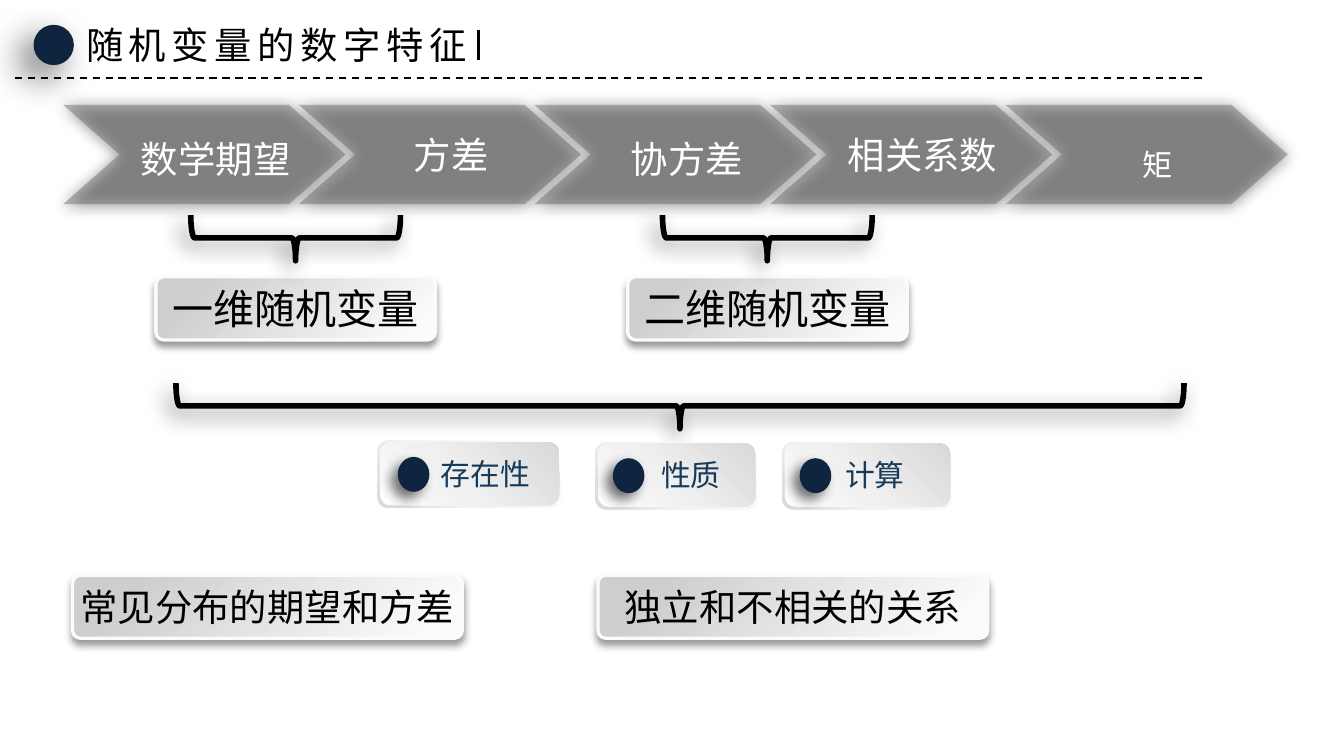
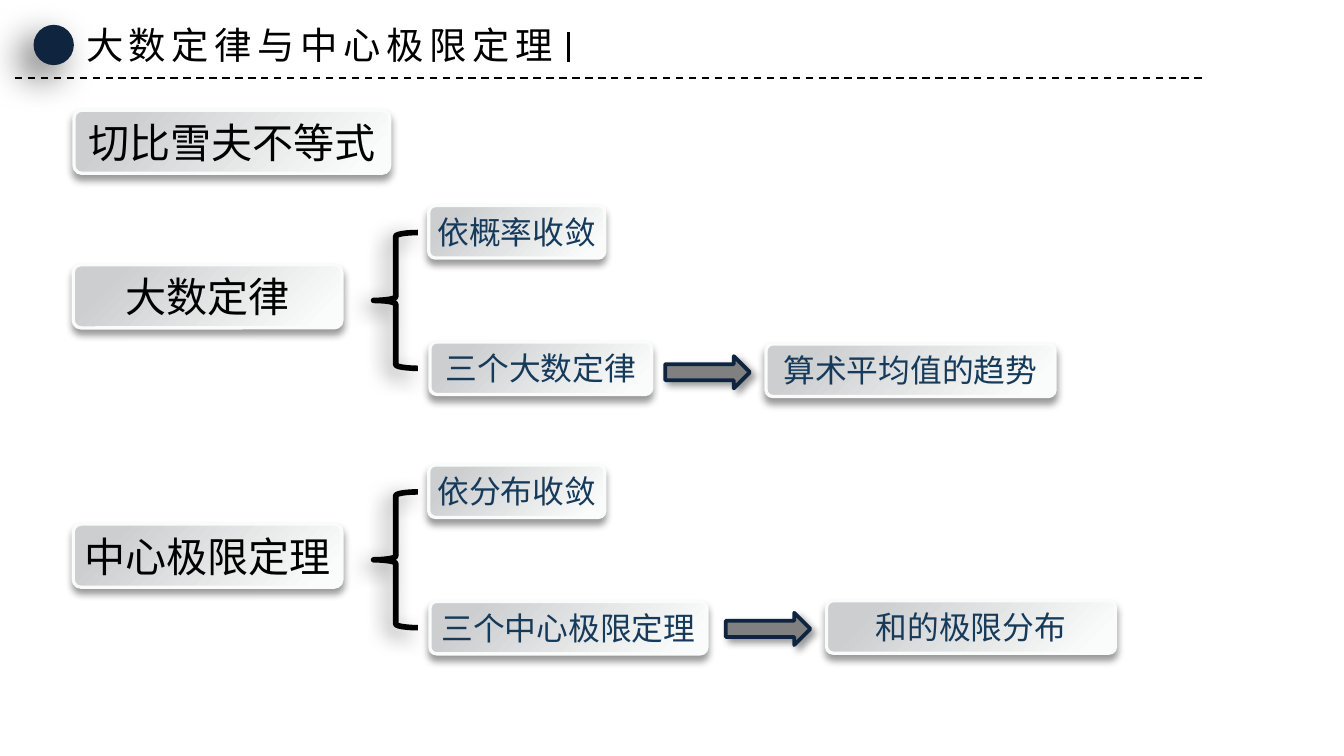
import lxml.etree
import pptx
import pptx.dml.color
import pptx.enum.dml
import pptx.enum.shapes
import pptx.enum.text
import pptx.oxml.ns
import pptx.util

qn = pptx.oxml.ns.qn
Shape = pptx.enum.shapes.MSO_SHAPE
Align = pptx.enum.text.PP_ALIGN
Anchor = pptx.enum.text.MSO_ANCHOR

COLUMNS = 100
WIDTH = pptx.util.Inches(10)
HEIGHT = WIDTH * 9 // 16
CELL = WIDTH / COLUMNS
POINT = pptx.util.Pt(1) / CELL

NAVY, INK, BLUE, WHITE = "0F243E", "000000", "163A5A", "FFFFFF"
CJK_FONT = "Noto Sans CJK SC"
CARD_STOPS = [(15, "CDCED0"), (92, "FAFCFB")]
PILL_RIM = [(0, WHITE), (62, "F2F2F2"), (100, "D9D9D9")]
PILL_FACE = [(0, WHITE), (42, "F0F0F0"), (100, "D9D9D9")]


def rgb(value):
    return pptx.dml.color.RGBColor.from_string(value)


def grid(*cells):
    return [round(cell * CELL) for cell in cells]


def add_color(parent, value, alpha=100):
    color = lxml.etree.SubElement(parent, qn("a:srgbClr"), val=value)
    if alpha < 100:
        lxml.etree.SubElement(color, qn("a:alpha"), val=str(alpha * 1000))


def write(frame, text, *, size, color=INK, font=CJK_FONT, align=Align.LEFT,
          tracking=0, leading=None, baseline=0, anchor=Anchor.TOP, wrap=False,
          inset=(1, 0.5)):
    frame.word_wrap = wrap
    frame.auto_size = pptx.enum.text.MSO_AUTO_SIZE.SHAPE_TO_FIT_TEXT
    frame.vertical_anchor = anchor
    frame.margin_left = frame.margin_right = grid(inset[0])[0]
    frame.margin_top = frame.margin_bottom = grid(inset[1])[0]
    para = frame.paragraphs[0]
    para.alignment = align
    if leading:
        para.line_spacing = leading
    span = para.add_run()
    span.text = text
    span.font.size = pptx.util.Pt(size)
    span.font.color.rgb = rgb(color)
    span.font.name = font
    properties = span._r.get_or_add_rPr()
    lxml.etree.SubElement(properties, qn("a:ea"), typeface=CJK_FONT)
    properties.set("lang", "zh-CN")
    if tracking:
        properties.set("spc", str(tracking * 100))
    if baseline:
        properties.set("baseline", str(baseline * 1000))


class Sketch:
    def __init__(self, deck):
        self.deck = deck
        self.page = None

    def start(self, title, cursor, cursor_top):
        self.page = self.deck.slides.add_slide(self.deck.slide_layouts[5])
        box = self.page.shapes.title
        width = len(title) * 23 * POINT + 2.4
        box.left, box.top, box.width, box.height = grid(5.4, 1.15, width, 4.4)
        write(box.text_frame, title, size=20, tracking=3)
        self.line(1.1, 5.8, 89.8, 5.8, 1, dashed=True)
        self.dot(2.5, 1.85, 3, 3, (60, 20, 10, 135))
        self.line(cursor, cursor_top, cursor, cursor_top + 2.25, 1.5)

    def style(self, shape, fill=None, line=None, weight=1, shadow=None):
        if fill:
            shape.fill.solid()
            shape.fill.fore_color.rgb = rgb(fill)
        if line:
            shape.line.color.rgb = rgb(line)
            shape.line.width = pptx.util.Pt(weight)
        else:
            shape.line.fill.background()
        shape.shadow.inherit = False
        if shadow:
            alpha, blur, distance, angle = shadow
            effects = shape._element.spPr.find(qn("a:effectLst"))
            outer = lxml.etree.SubElement(
                effects, qn("a:outerShdw"), blurRad=str(int(blur * 12700)),
                dist=str(distance * 12700), dir=str(angle * 60000),
                algn="ctr", rotWithShape="0")
            add_color(outer, INK, alpha)

    def shape(self, kind, left, top, width, height, **look):
        shape = self.page.shapes.add_shape(kind, *grid(left, top, width, height))
        self.style(shape, **look)
        return shape

    def gradient(self, shape, stops, angle):
        shape.fill.gradient()
        fill = shape._element.spPr.find(qn("a:gradFill"))
        holder = fill.find(qn("a:gsLst"))
        for stop in list(holder):
            holder.remove(stop)
        for position, value in stops:
            add_color(lxml.etree.SubElement(
                holder, qn("a:gs"), pos=str(position * 1000)), value)
        fill.find(qn("a:lin")).set("ang", str(angle * 60000))

    def line(self, x1, y1, x2, y2, weight, dashed=False):
        line = self.page.shapes.add_connector(
            pptx.enum.shapes.MSO_CONNECTOR.STRAIGHT, *grid(x1, y1, x2, y2))
        line.line.color.rgb = rgb(INK)
        line.line.width = pptx.util.Pt(weight)
        if dashed:
            line.line.dash_style = pptx.enum.dml.MSO_LINE.DASH
        lxml.etree.SubElement(line._element.spPr, qn("a:effectLst"))

    def text(self, text, left, top, width, height, **look):
        box = self.page.shapes.add_textbox(*grid(left, top, width, height))
        write(box.text_frame, text, **look)

    def dot(self, left, top, width, height, shadow):
        self.shape(Shape.OVAL, left, top, width, height, fill=NAVY, shadow=shadow)

    def card(self, text, left, top, width, height=4.7, size=22, color=INK):
        card = self.shape(Shape.ROUNDED_RECTANGLE, left, top, width, height,
                          line="FAFCFB", weight=1.75, shadow=(40, 4, 3, 90))
        card.adjustments[0] = 0.125
        self.gradient(card, CARD_STOPS, 45)
        label_width = len(text) * size * POINT + 1.6
        label_height = size * 1.2 * POINT + 0.8
        self.text(text, left + (width - label_width) / 2,
                  top + (height - label_height) / 2, label_width, label_height,
                  size=size, color=color, align=Align.CENTER, inset=(0.7, 0.4))

    def small_card(self, text, left, top, width):
        self.card(text, left, top, width, 3.9, 17, BLUE)

    def brace(self, center_x, center_y, depth, span, rotation, mirrored=False):
        brace = self.shape(Shape.LEFT_BRACE, center_x - depth / 2,
                           center_y - span / 2, depth, span, line=INK,
                           weight=3, shadow=(50, 11, 5, 135))
        brace.fill.background()
        brace.rotation = rotation
        if mirrored:
            brace._element.spPr.find(qn("a:xfrm")).set("flipH", "1")

    def chevron(self, text, left, **look):
        top, width, height = 7.8, 21, 7.4
        outline = [(0, 0), (0.8, 0), (1, 0.5), (0.8, 1), (0, 1), (0.2, 0.5)]
        points = [grid(left + x * width, top + y * height) for x, y in outline]
        builder = self.page.shapes.build_freeform(*points[0])
        builder.add_line_segments(points[1:], close=True)
        chevron = builder.convert_to_shape()
        self.style(chevron, fill="595959", shadow=(100, 8.5, 1, 90))
        color = chevron._element.spPr.find(qn("a:solidFill"))[0]
        lxml.etree.SubElement(color, qn("a:alpha"), val="40000")
        label_height = 4.7 if "leading" in look else 4.4
        self.text(text, left + 2.5, top + (height - label_height) / 2, 17.7,
                  label_height, color=WHITE, font="Arial", align=Align.CENTER,
                  anchor=Anchor.MIDDLE, wrap=True, **look)

    def pill(self, text, left, top, width, dot_gap, text_gap):
        for inset, stops, angle in ((0, PILL_RIM, 135), (0.2, PILL_FACE, 315)):
            layer = self.shape(Shape.ROUNDED_RECTANGLE, left + inset,
                               top + inset / 2, width - 2 * inset, 5 - 1.5 * inset)
            self.gradient(layer, stops, angle)
        self.dot(left + dot_gap, top + 1.2, 2.35, 2.6, (57, 7, 5, 135))
        self.text(text, left + text_gap, top + 0.6, len(text) * 16 * POINT + 2,
                  3.7, size=16, color=BLUE)

    def arrow(self, left, top):
        self.shape(Shape.RIGHT_ARROW, left, top, 6.3, 2.4, fill="808080",
                   line=NAVY, weight=2, shadow=(40, 4, 3, 45))


def numeric_features(sketch):
    sketch.start("随机变量的数字特征", 35.6, 2.2)
    steps = [("数学期望", dict(size=20, leading=1.2)), ("方差", dict(size=20)),
             ("协方差", dict(size=20, leading=1.2)), ("相关系数", dict(size=20)),
             ("矩", dict(size=28, baseline=-3))]
    for index, (text, look) in enumerate(steps):
        sketch.chevron(text, 4.7 + index * 17.53, **look)
    for text, left in (("一维随机变量", 11.6), ("二维随机变量", 46.7)):
        sketch.card(text, left, 20.6, 20.8)
        sketch.brace(left + 10.4, 17.7, 3.4, 15.6, 270)
    sketch.brace(50.6, 30.2, 3.4, 75, 270)
    sketch.pill("存在性", 28.1, 32.8, 13.7, 1.5, 3.7)
    sketch.pill("性质", 44.3, 32.9, 12.1, 1.3, 3.9)
    sketch.pill("计算", 58.2, 32.9, 12.7, 1.3, 3.7)
    for text, left in (("常见分布的期望和方差", 5.4), ("独立和不相关的关系", 44.5)):
        sketch.card(text, left, 42.8, 29, size=20)


def limit_theorems(sketch):
    sketch.start("大数定律与中心极限定理", 42.3, 2.4)
    sketch.card("切比雪夫不等式", 5.5, 8.2, 23.5)
    branches = [
        (19.7, "大数定律", "依概率收敛", "三个大数定律", 16.5,
         "算术平均值的趋势", 57, 25.6),
        (39, "中心极限定理", "依分布收敛", "三个中心极限定理", 20.6,
         "和的极限分布", 61.5, 44.7),
    ]
    for top, name, mode, theorems, width, meaning, left, meaning_top in branches:
        sketch.card(name, 5.45, top, 20)
        sketch.brace(29.45, top + 2.65, 3.3, 10.1, 180, mirrored=True)
        sketch.small_card(mode, 31.9, top - 4.4, 13.1)
        sketch.small_card(theorems, 32, top + 5.75, width)
        sketch.arrow(left - 7.5, meaning_top + 0.9)
        sketch.small_card(meaning, left, meaning_top, 21.5)


def main():
    deck = pptx.Presentation()
    deck.slide_width, deck.slide_height = WIDTH, HEIGHT
    sketch = Sketch(deck)
    numeric_features(sketch)
    limit_theorems(sketch)
    deck.save("out.pptx")


if __name__ == "__main__":
    main()
